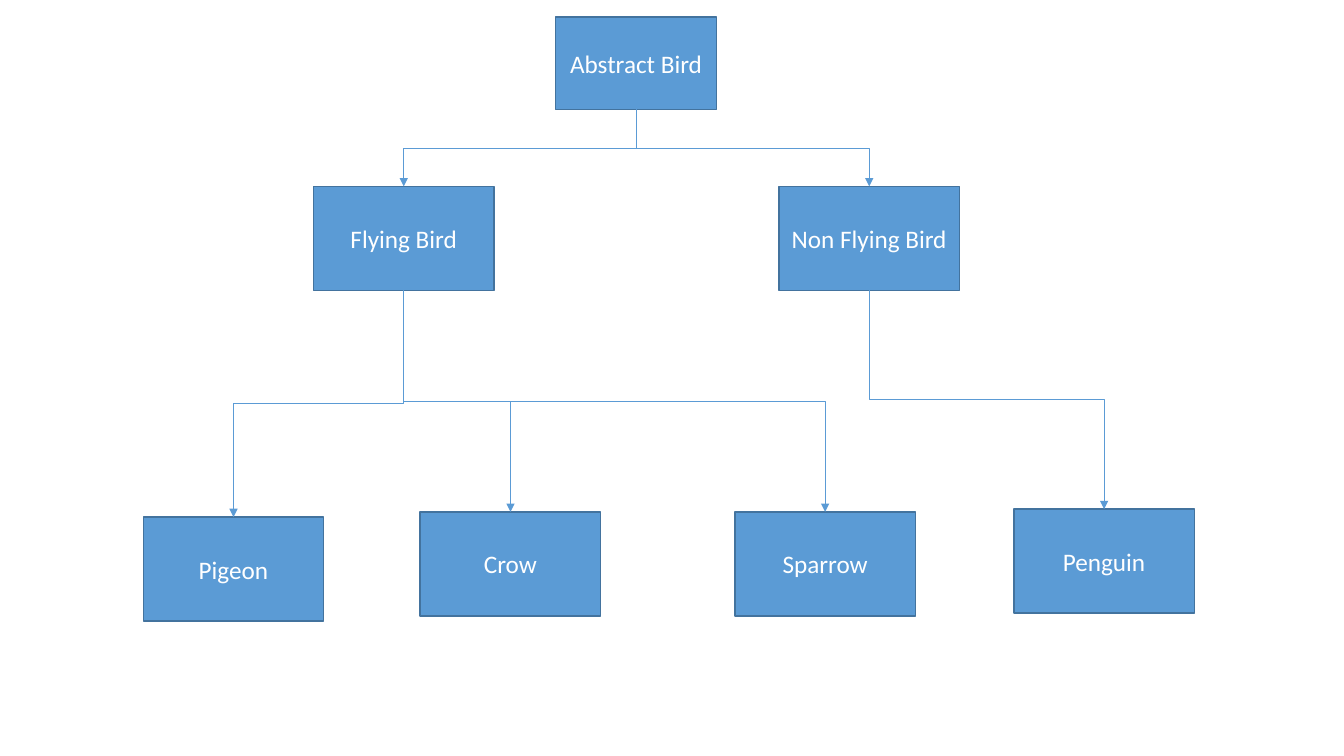
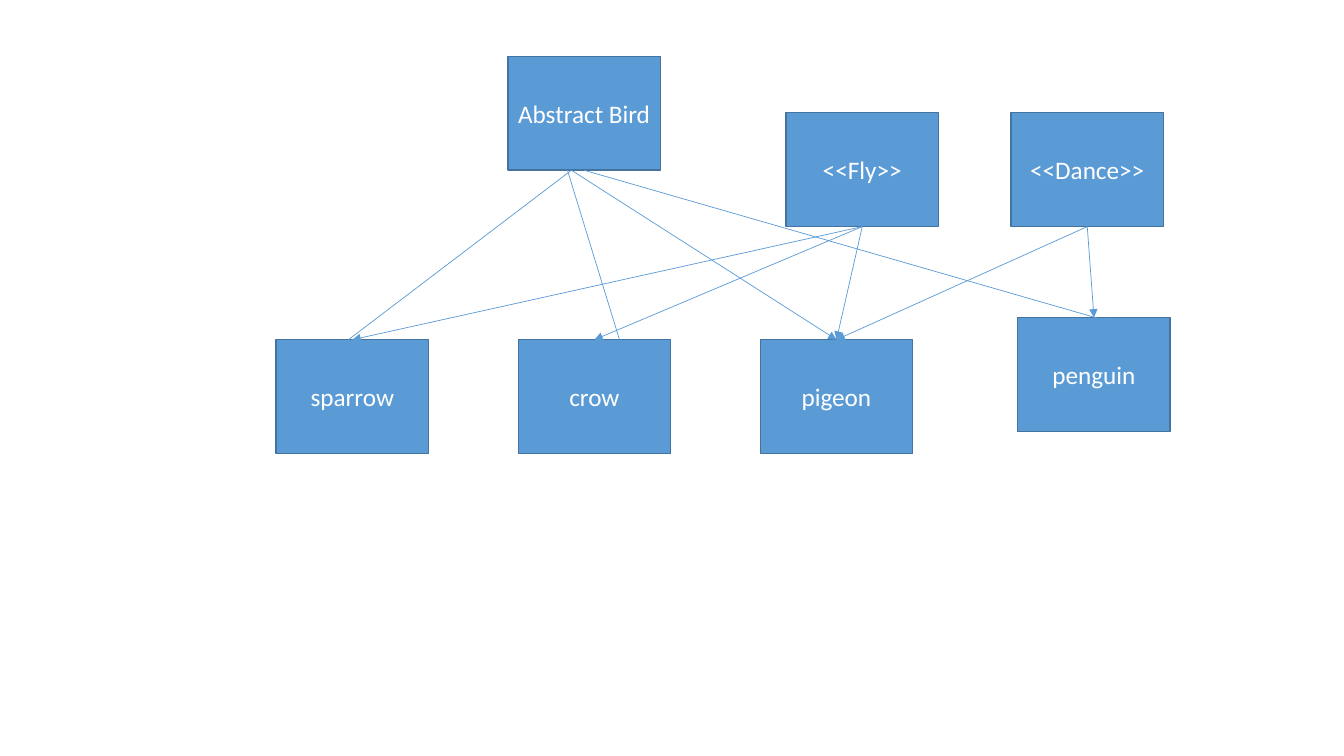
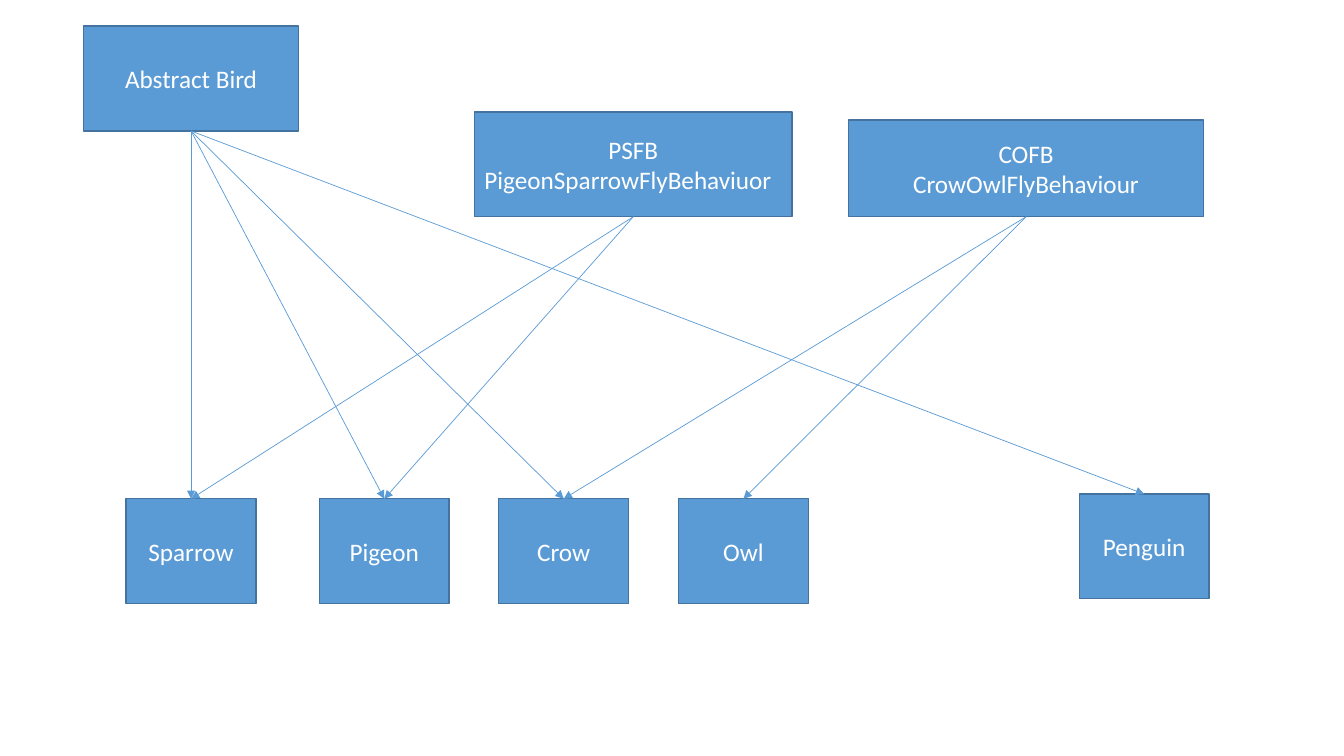
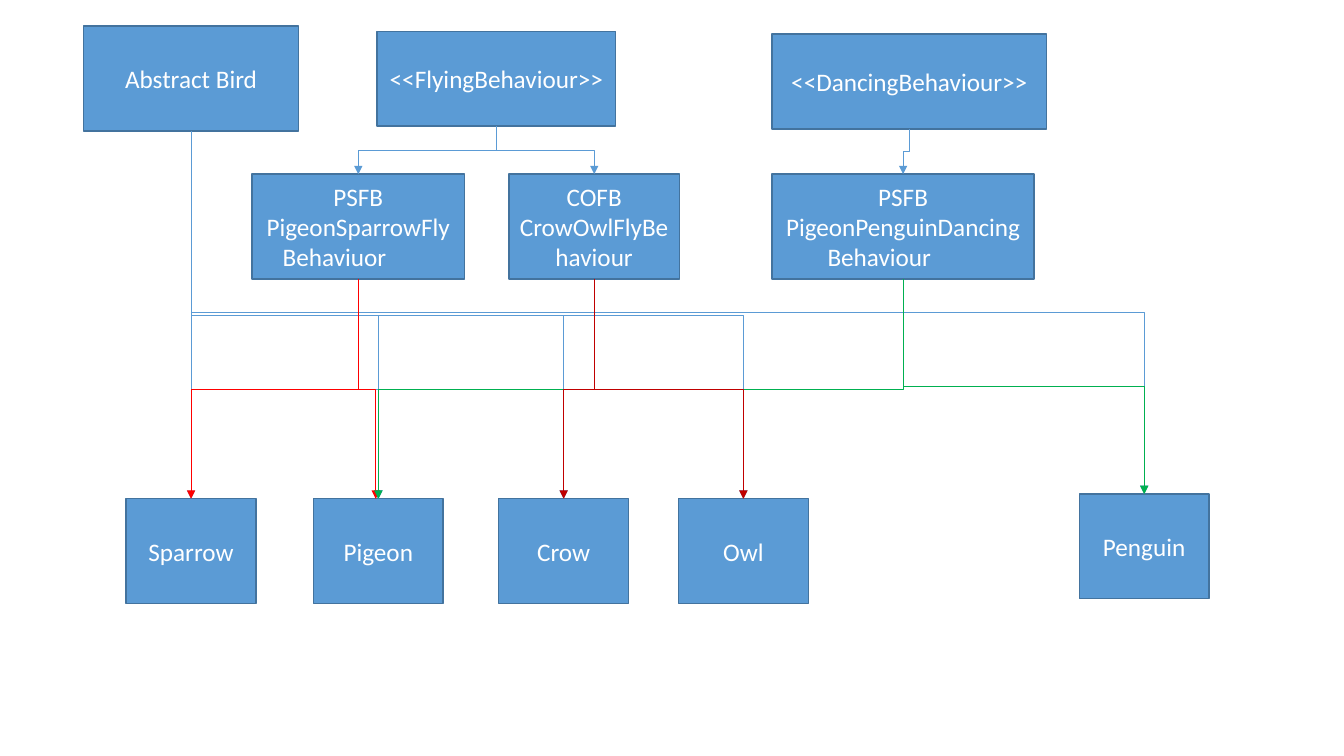
from lxml.etree import SubElement
from pptx import Presentation
from pptx.dml.color import RGBColor
from pptx.enum.shapes import MSO_CONNECTOR, MSO_SHAPE
from pptx.enum.text import MSO_ANCHOR, PP_ALIGN
from pptx.oxml.ns import qn
from pptx.util import Cm, Pt

COLOURS = {
    "blue": "5B9BD5",
    "outline": "43739E",
    "white": "FFFFFF",
    "red": "FF0000",
    "dark red": "C00000",
    "green": "00B050",
}
FONT = "Calibri"
BOTTOM, TOP = 2, 0


def add_box(page, text, left, top, width, height, size=18, fill="blue", colour="white"):
    box = page.shapes.add_shape(
        MSO_SHAPE.RECTANGLE, Cm(left), Cm(top), Cm(width), Cm(height))
    box.shadow.inherit = False
    box.fill.solid()
    box.fill.fore_color.rgb = RGBColor.from_string(COLOURS[fill])
    box.line.color.rgb = RGBColor.from_string(COLOURS["outline"])
    box.line.width = Pt(1)
    frame = box.text_frame
    frame.word_wrap = True
    frame.vertical_anchor = MSO_ANCHOR.MIDDLE
    para = frame.paragraphs[0]
    para.alignment = PP_ALIGN.CENTER
    para.text = text
    for span in para.runs:
        span.font.name = FONT
        span.font.size = Pt(size)
        span.font.color.rgb = RGBColor.from_string(COLOURS[colour])
    return box


def add_arrow(page, boxes, start, end, colour="blue", bent=False):
    """Join two ends, each the name of a box or a point in centimetres.

    A bent arrow leaves downwards, crosses halfway and arrives downwards.
    """
    points = [(0, 0) if isinstance(place, str) else place for place in (start, end)]
    arrow = page.shapes.add_connector(
        MSO_CONNECTOR.ELBOW if bent else MSO_CONNECTOR.STRAIGHT,
        *[Cm(value) for point in points for value in point])
    if isinstance(start, str):
        arrow.begin_connect(boxes[start], BOTTOM)
    if isinstance(end, str):
        arrow.end_connect(boxes[end], TOP)
    arrow.line.color.rgb = RGBColor.from_string(COLOURS[colour])
    arrow.line.width = Pt(0.5)
    properties = arrow._element.spPr
    SubElement(properties.find(qn("a:ln")), qn("a:tailEnd"), type="triangle")
    SubElement(properties, qn("a:effectLst"))

    if bent:
        across = arrow.end_x - arrow.begin_x
        down = arrow.end_y - arrow.begin_y
        middle_x = (arrow.begin_x + arrow.end_x) // 2
        middle_y = (arrow.begin_y + arrow.end_y) // 2
        arrow.left, arrow.top = middle_x - down // 2, middle_y - abs(across) // 2
        arrow.width, arrow.height = down, abs(across)
        frame = properties.find(qn("a:xfrm"))
        frame.set("rot", str((270 if across > 0 else 90) * 60000))
        frame.set("flipH", "1" if across > 0 else "0")
        frame.set("flipV", "0")


# Boxes: name -> text, left, top, width, height in centimetres
species = (4.55, 2.62)
hierarchy = {
    "bird": ("Abstract Bird", 14, 0.43, 4.06, 2.33),
    "flying": ("Flying Bird", 7.9, 4.7, *species),
    "non flying": ("Non Flying Bird", 19.63, 4.7, *species),
    "penguin": ("Penguin", 25.55, 12.83, *species),
    "sparrow": ("Sparrow", 18.52, 12.9, *species),
    "crow": ("Crow", 10.59, 12.9, *species),
    "pigeon": ("Pigeon", 3.61, 13.03, *species),
}

interface = (3.84, 2.87)
interfaces = {
    "bird": ("Abstract Bird", 12.8, 1.42, *interface),
    "dance": ("<<Dance>>", 25.48, 2.84, *interface),
    "fly": ("<<Fly>>", 19.81, 2.84, *interface),
    "penguin": ("penguin", 25.65, 8, *interface),
}
for column, name in enumerate(("sparrow", "crow", "pigeon")):
    interfaces[name] = (name, 6.96 + 6.1 * column, 8.56, *interface)

small = (3.27, 2.64)
family = {
    "bird": ("Abstract Bird", 2.11, 0.66, 5.41, 2.64),
    "sparrow": ("Sparrow", 3.18, 12.57, *small),
    "crow": ("Crow", 12.57, 12.57, *small),
    "owl": ("Owl", 17.1, 12.57, *small),
    "penguin": ("Penguin", 27.2, 12.45, *small),
}
crow_owl = "COFB\nCrowOwlFlyBehaviour"
pigeon_sparrow = "PSFB\nPigeonSparrowFlyBehaviuor\t"
pigeon_penguin = "PSFB\nPigeonPenguinDancingBehaviour\t"
behaviours = family | {
    "pigeon": ("Pigeon", 8.05, 12.57, *small),
    "crow owl": (crow_owl, 21.39, 3.02, 8.94, 2.44),
    "pigeon sparrow": (pigeon_sparrow, 11.96, 2.82, 8, 2.64),
}
composition = family | {
    "pigeon": ("Pigeon", 7.9, 12.57, *small),
    "crow owl": (crow_owl, 12.83, 4.39, 4.29, 2.64),
    "pigeon sparrow": (pigeon_sparrow, 6.35, 4.39, 5.36, 2.64),
    "pigeon penguin": (pigeon_penguin, 19.46, 4.39, 6.6, 2.64),
    "flying": ("<<FlyingBehaviour>>", 9.5, 0.79, 6.02, 2.39),
    "dancing": ("<<DancingBehaviour>>", 19.46, 0.86, 6.91, 2.39),
}

# Each slide: boxes, whether its arrows bend, arrows as start, ends, colour
slides = [
    (hierarchy, True, [
        ("bird", ["flying", "non flying"], "blue"),
        ("flying", ["pigeon", "crow", "sparrow"], "blue"),
        ("non flying", ["penguin"], "blue"),
    ]),
    (interfaces, False, [
        ((14.4, 4.29), [(8.48, 8.79), "pigeon"], "blue"),
        ((14.3, 4.29), [(15.8, 9.17)], "blue"),
        ("bird", [(28.12, 8.15)], "blue"),
        ("fly", ["sparrow", "crow", "pigeon"], "blue"),
        ("dance", ["penguin", "pigeon"], "blue"),
    ]),
    (behaviours, False, [
        ("bird", ["sparrow", "pigeon", "crow", "penguin"], "blue"),
        ("pigeon sparrow", ["sparrow", "pigeon"], "blue"),
        ("crow owl", ["crow", "owl"], "blue"),
    ]),
    (composition, True, [
        ("bird", ["penguin", "owl", "crow", "pigeon", "sparrow"], "blue"),
        ("pigeon sparrow", ["pigeon"], "blue"),
        ("pigeon sparrow", [(9.47, 12.57), "sparrow"], "red"),
        ("flying", ["pigeon sparrow", "crow owl"], "blue"),
        ("dancing", ["pigeon penguin"], "blue"),
        ("pigeon penguin", ["pigeon", "penguin"], "green"),
        ("crow owl", ["crow", "owl"], "dark red"),
    ]),
]

deck = Presentation()
deck.slide_width, deck.slide_height = Cm(33.87), Cm(19.05)
blank = deck.slide_layouts[6]

for layout, bends, arrows in slides:
    page = deck.slides.add_slide(blank)
    boxes = {name: add_box(page, *details) for name, details in layout.items()}
    for start, ends, colour in arrows:
        for end in ends:
            aligned = (layout is composition) and (start, end) == ("bird", "sparrow")
            add_arrow(page, boxes, start, end, colour=colour, bent=bends and not aligned)

deck.save("out.pptx")
